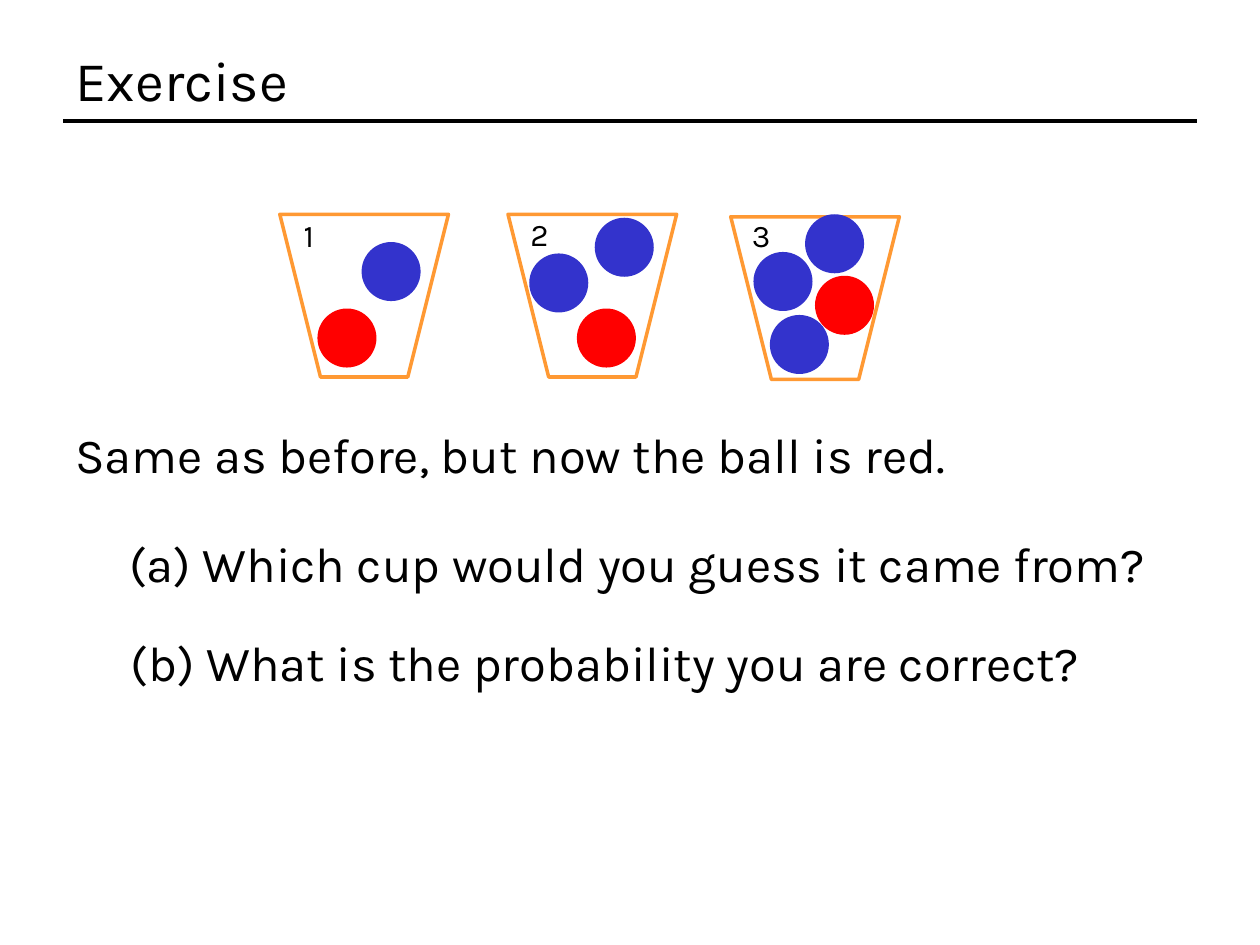
from pptx import Presentation
from pptx.dml.color import RGBColor
from pptx.enum.shapes import MSO_CONNECTOR, MSO_SHAPE
from pptx.enum.text import MSO_ANCHOR, PP_ALIGN
from pptx.oxml.ns import qn
from pptx.util import Cm, Pt
from lxml.etree import SubElement

BLACK = RGBColor(0x00, 0x00, 0x00)
ORANGE = RGBColor(0xFF, 0x99, 0x33)
RED = RGBColor(0xFF, 0x00, 0x00)
BLUE = RGBColor(0x33, 0x33, 0xCC)
FONT = "Karla"

TEXTS = [
    ("Exercise", 32, (1.27, 0.76, 22.86, 1.68)),
    ("Same as before, but now the ball is red.", 28, (1.27, 8.43, 22.86, 1.45)),
    ("(a) Which cup would you guess it came from?", 28, (2.36, 10.62, 21.21, 1.45)),
    ("(b) What is the probability you are correct?", 28, (2.39, 12.62, 20.57, 1.45)),
]
CUPS = [
    {"spot": (5.64, 4.32), "label": ("1", 5.59, 4.11),
     "balls": [(RED, 6.4, 6.22), (BLUE, 7.29, 4.88)]},
    {"spot": (10.24, 4.32), "label": ("2", 10.24, 4.09),
     "balls": [(RED, 11.63, 6.22), (BLUE, 11.99, 4.39), (BLUE, 10.67, 5.11)]},
    {"spot": (14.73, 4.37), "label": ("3", 14.71, 4.11),
     "balls": [(RED, 16.43, 5.56), (BLUE, 16.23, 4.32),
               (BLUE, 15.19, 5.08), (BLUE, 15.52, 6.35)]},
]
CUP_SIZE = (3.4, 3.28)
BALL = 1.19
LABEL = 1.27


def style(frame, size):
    frame.vertical_anchor = MSO_ANCHOR.MIDDLE
    for run in frame.paragraphs[0].runs:
        run.font.name = FONT
        run.font.size = Pt(size)
        run.font.color.rgb = BLACK


def add_text(slide, text, size, box):
    frame = slide.shapes.add_textbox(*map(Cm, box)).text_frame
    frame.word_wrap = True
    frame.text = text
    style(frame, size)


def add_form(slide, kind, box, fill=None, line=None):
    shape = slide.shapes.add_shape(kind, *map(Cm, box))
    shape.shadow.inherit = False
    if fill is None:
        shape.fill.background()
    else:
        shape.fill.solid()
        shape.fill.fore_color.rgb = fill
    if line is None:
        shape.line.fill.background()
    else:
        shape.line.color.rgb = line
        shape.line.width = Pt(2)
    return shape


def add_label(slide, text, left, top):
    shape = add_form(slide, MSO_SHAPE.OVAL, (left, top, LABEL, LABEL))
    frame = shape.text_frame
    frame.word_wrap = False
    frame.text = text
    frame.paragraphs[0].alignment = PP_ALIGN.CENTER
    style(frame, 18)


def add_cup(slide, cup):
    shape = add_form(slide, MSO_SHAPE.TRAPEZOID, cup["spot"] + CUP_SIZE, line=ORANGE)
    shape.rotation = 180
    for color, left, top in cup["balls"]:
        add_form(slide, MSO_SHAPE.OVAL, (left, top, BALL, BALL), fill=color)
    add_label(slide, *cup["label"])


def add_rule(slide):
    rule = slide.shapes.add_connector(
        MSO_CONNECTOR.STRAIGHT, Cm(1.27), Cm(2.44), Cm(24.13), Cm(2.44))
    rule.line.color.rgb = BLACK
    rule.line.width = Pt(2)
    SubElement(rule._element.spPr, qn("a:effectLst"))


def main():
    deck = Presentation()
    deck.slide_width, deck.slide_height = Cm(25.4), Cm(19.05)
    slide = deck.slides.add_slide(deck.slide_layouts[6])
    add_rule(slide)
    for cup in CUPS:
        add_cup(slide, cup)
    for item in TEXTS:
        add_text(slide, *item)
    deck.save("out.pptx")


if __name__ == "__main__":
    main()
